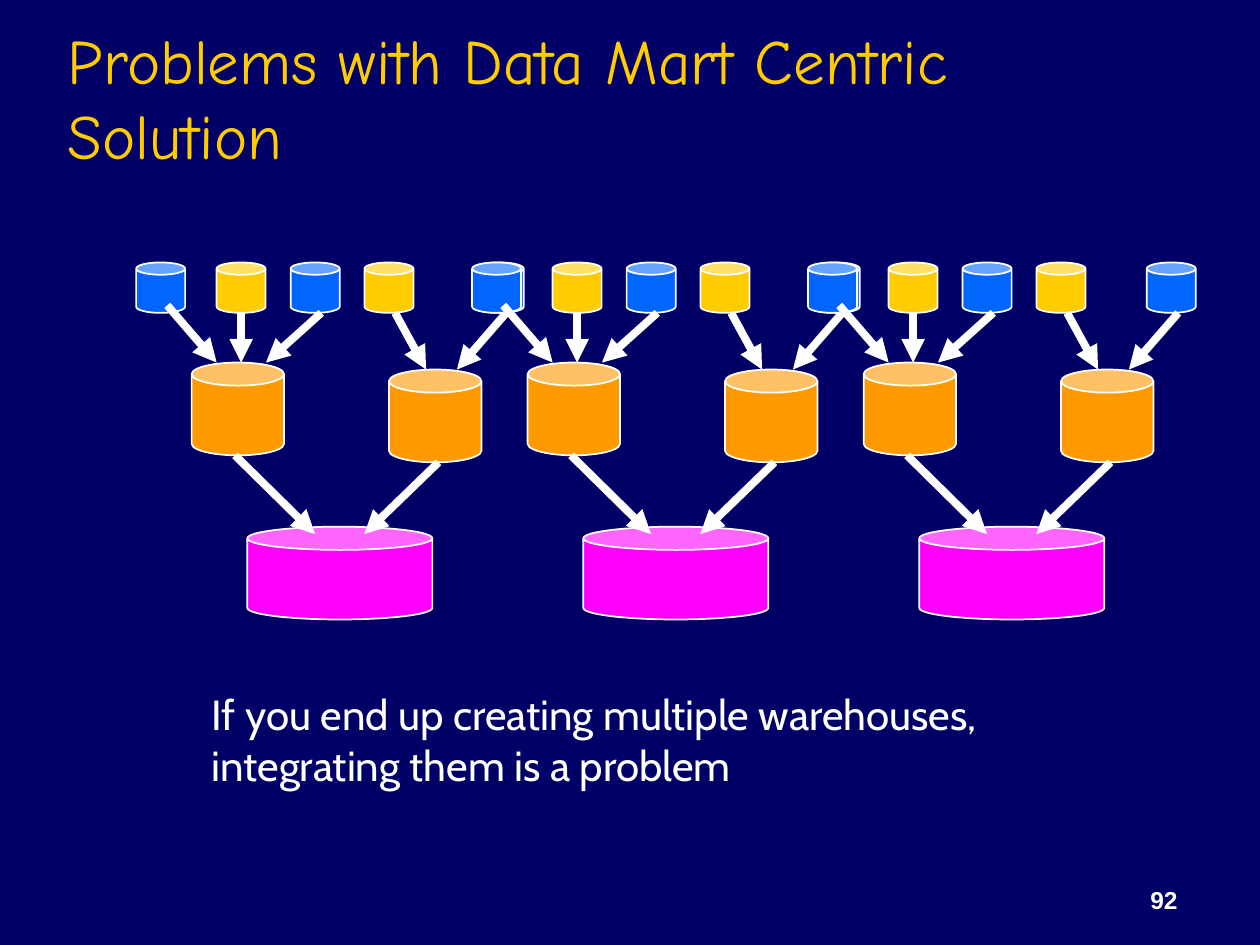
import lxml.etree
import pptx
import pptx.dml.color
import pptx.enum.shapes
import pptx.enum.text
import pptx.oxml.ns
import pptx.util

Pt = pptx.util.Pt
RGBColor = pptx.dml.color.RGBColor
qn = pptx.oxml.ns.qn
ALIGN = pptx.enum.text.PP_ALIGN
ANCHOR = pptx.enum.text.MSO_ANCHOR

NAVY = RGBColor(0x00, 0x00, 0x66)
WHITE = RGBColor(0xFF, 0xFF, 0xFF)
BLUE = RGBColor(0x00, 0x66, 0xFF)
GOLD = RGBColor(0xFF, 0xCC, 0x00)
ORANGE = RGBColor(0xFF, 0x99, 0x00)
PINK = RGBColor(0xFF, 0x00, 0xFF)

deck = pptx.Presentation()
deck.slide_width, deck.slide_height = Pt(720), Pt(540)
slide = deck.slides.add_slide(deck.slide_layouts[6])
slide.background.fill.solid()
slide.background.fill.fore_color.rgb = NAVY

# Text: wording, box, font, size, colour, bold, alignment, anchor
texts = [
    ("92", (530, 490.3, 150, 36), "Arial", 14, WHITE, True, ALIGN.RIGHT, ANCHOR.BOTTOM),
    ("Problems with Data Mart Centric Solution", (31.7, 18, 612, 84.2),
     "Comic Neue", 36, GOLD, False, ALIGN.LEFT, ANCHOR.BOTTOM),
    ("If you end up creating multiple warehouses, integrating them is a problem",
     (113.8, 390.2, 498, 93.6), "Cabin", 24, WHITE, False, ALIGN.LEFT, ANCHOR.TOP),
]
for words, place, face, size, color, bold, align, anchor in texts:
    frame = slide.shapes.add_textbox(*map(Pt, place)).text_frame
    frame.word_wrap = True
    frame.vertical_anchor = anchor
    para = frame.paragraphs[0]
    para.text = words
    para.alignment = align
    para.font.name = face
    para.font.size = Pt(size)
    para.font.bold = bold
    para.font.color.rgb = color

# One warehouse tree, with x measured from its left edge
SMALL, MART, STORE = (28, 28.8), (52.8, 53), (105.8, 53)
cans = [
    (0, 150, SMALL, BLUE),
    (193.5, 150, SMALL, BLUE),
    (130.5, 150, SMALL, GOLD),
    (88.3, 150, SMALL, BLUE),
    (46, 150, SMALL, GOLD),
    (31.7, 207.2, MART, ORANGE),
    (144.5, 211.2, MART, ORANGE),
    (63.5, 301, STORE, PINK),
]
arrows = [
    (17.8, 174.5, 46, 207.2),
    (60, 178.8, 60, 207.2),
    (105.8, 178.8, 74.2, 207.2),
    (211.5, 178.8, 183.3, 211.2),
    (148, 178.8, 165.7, 211.2),
    (56.5, 260.2, 102.2, 305.2),
    (172.8, 264.2, 130.4, 305.2),
]
LEFT, STEP = 77.8, 192

for tree in range(3):
    edge = LEFT + tree * STEP
    group = slide.shapes.add_group_shape()
    for x, y, (width, height), color in cans:
        can = group.shapes.add_shape(
            pptx.enum.shapes.MSO_SHAPE.CAN, Pt(edge + x), Pt(y), Pt(width), Pt(height))
        can.shadow.inherit = False
        can.fill.solid()
        can.fill.fore_color.rgb = color
        can.line.color.rgb = WHITE
        can.line.width = Pt(1)
    for x1, y1, x2, y2 in arrows:
        arrow = group.shapes.add_connector(
            pptx.enum.shapes.MSO_CONNECTOR.STRAIGHT,
            Pt(edge + x1), Pt(y1), Pt(edge + x2), Pt(y2))
        arrow.line.color.rgb = WHITE
        arrow.line.width = Pt(4.5)
        lxml.etree.SubElement(arrow.line._get_or_add_ln(), qn("a:tailEnd"), type="triangle")
        lxml.etree.SubElement(arrow._element.spPr, qn("a:effectLst"))

deck.save("out.pptx")
